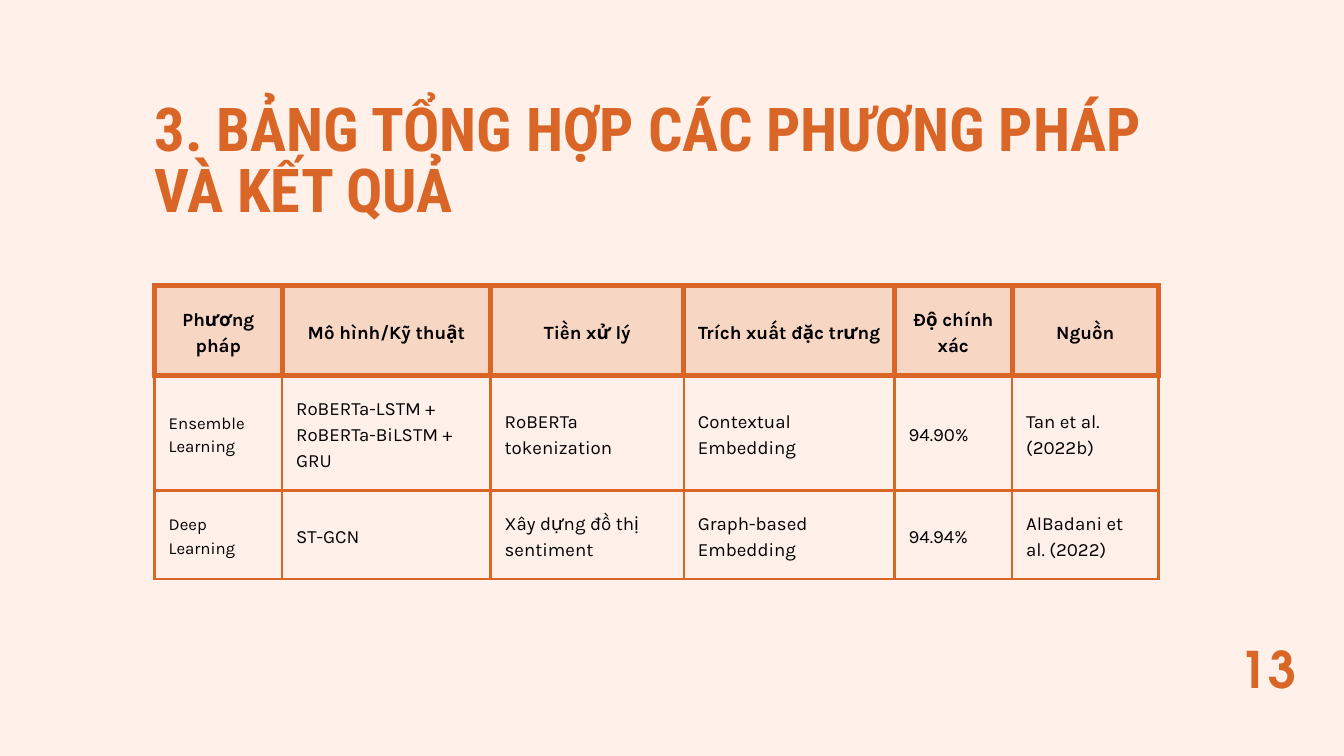
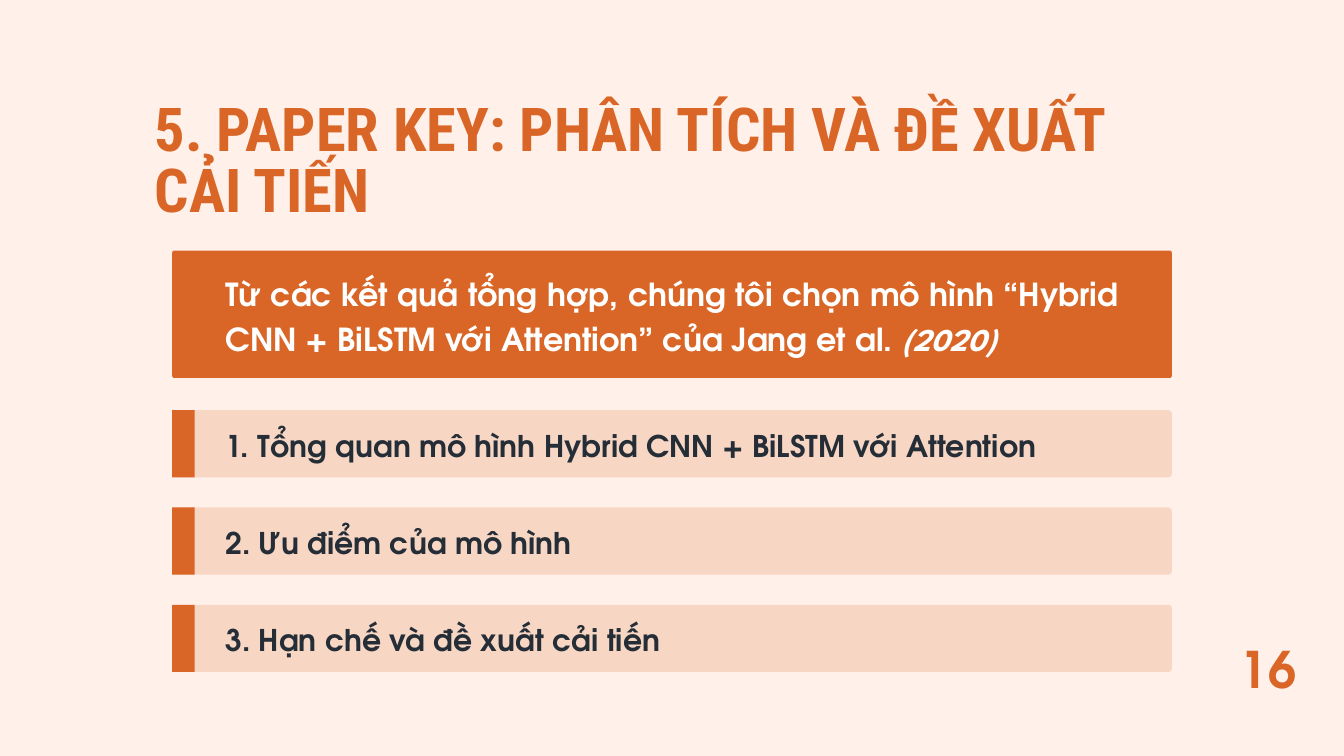
from collections import namedtuple
from dataclasses import dataclass

from lxml.etree import SubElement
from pptx import Presentation
from pptx.dml.color import RGBColor
from pptx.enum.shapes import MSO_SHAPE
from pptx.enum.text import MSO_ANCHOR, MSO_AUTO_SIZE, PP_ALIGN
from pptx.oxml import parse_xml
from pptx.oxml.ns import nsdecls, qn
from pptx.util import Pt

PX = 9525
Box = namedtuple("Box", "left top width height")


@dataclass(frozen=True)
class Theme:
    """Colours, fonts, type sizes and line weights of the deck."""

    page: str = "FFF0E9"
    accent: str = "D96627"
    header: str = "F8D6C4"
    ink: str = "252D37"
    black: str = "000000"
    white: str = "FFFFFF"
    title_font: str = "Roboto Condensed"
    text_font: str = "TeX Gyre Adventor"
    year_font: str = "League Spartan"
    table_font: str = "Karla"
    title_size: float = 64.8
    number_size: float = 54
    lead_size: float = 34
    item_size: float = 32
    cell_size: float = 20
    method_size: float = 18
    heavy_rule: float = 6
    light_rule: float = 3
    tint_percent: int = 19


THEME = Theme()
SLIDE = Box(0, 0, 1920, 1080)
TITLE = Box(221, 148, 1440, 178)
NUMBER = Box(1756, 940, 111, 64)
SUMMARY = Box(221, 408, 1434, 419)
LEAD = Box(246, 358, 1428, 182)
OUTLINE = Box(246, 586, 1428, 374)
TEXT_INDENT = 76
TEXT_WIDTH = 1277

COLUMN_WIDTHS = (182, 298, 276, 301, 168, 209)
ROW_HEIGHTS = (129, 164, 126)
METHODS = (
    ("Phương pháp", "Mô hình/Kỹ thuật", "Tiền xử lý",
     "Trích xuất đặc trưng", "Độ chính xác", "Nguồn"),
    ("Ensemble Learning", "RoBERTa-LSTM + RoBERTa-BiLSTM + GRU",
     "RoBERTa tokenization", "Contextual Embedding", "94.90%", "Tan et al. (2022b)"),
    ("Deep Learning", "ST-GCN", "Xây dựng đồ thị sentiment",
     "Graph-based Embedding", "94.94%", "AlBadani et al. (2022)"),
)
LEAD_TEXT = ("Từ các kết quả tổng hợp, chúng tôi chọn mô hình “Hybrid CNN + BiLSTM "
             "với Attention” của Jang et al. ")
TOPICS = (
    "1. Tổng quan mô hình Hybrid CNN + BiLSTM với Attention",
    "2. Ưu điểm của mô hình",
    "3. Hạn chế và đề xuất cải tiến",
)


def emu(box):
    """Turn a px box into EMU lengths."""
    return [length * PX for length in box]


def write(paragraph, text, *, font, size, color, leading,
          bold=True, italic=False, align=PP_ALIGN.LEFT):
    """Add a formatted run to a paragraph."""
    paragraph.alignment = align
    paragraph.line_spacing = Pt(leading)
    run = paragraph.add_run()
    run.text = text
    run.font.name = font
    run.font.size = Pt(size)
    run.font.bold = bold
    run.font.italic = italic
    run.font.color.rgb = RGBColor.from_string(color)


def add_text(slide, box, text, **style):
    """Place an unpadded text box and return its paragraph."""
    frame = slide.shapes.add_textbox(*emu(box)).text_frame
    frame.word_wrap = True
    frame.auto_size = MSO_AUTO_SIZE.SHAPE_TO_FIT_TEXT
    frame.margin_left = frame.margin_top = frame.margin_right = frame.margin_bottom = 0
    write(frame.paragraphs[0], text, **style)
    return frame.paragraphs[0]


def add_bar(slide, box, radius=0, opacity=100):
    """Draw an accent bar with optional round corners and transparency."""
    preset = MSO_SHAPE.ROUNDED_RECTANGLE if radius else MSO_SHAPE.RECTANGLE
    bar = slide.shapes.add_shape(preset, *emu(box))
    if radius:
        bar.adjustments[0] = radius / box.height
    bar.shadow.inherit = False
    bar.line.fill.background()
    bar.fill.solid()
    bar.fill.fore_color.rgb = RGBColor.from_string(THEME.accent)
    if opacity < 100:
        color = bar.fill._xPr.find(qn("a:solidFill"))[0]
        SubElement(color, qn("a:alpha"), val=str(opacity * 1000))


def add_page(deck, title, number):
    """Add a slide with its background, page number and title."""
    slide = deck.slides.add_slide(deck.slide_layouts[6])
    slide.background.fill.solid()
    slide.background.fill.fore_color.rgb = RGBColor.from_string(THEME.page)
    add_text(slide, NUMBER, str(number), font=THEME.text_font, size=THEME.number_size,
             color=THEME.accent, leading=43.2, align=PP_ALIGN.CENTER)
    add_text(slide, TITLE, title, font=THEME.title_font, size=THEME.title_size,
             color=THEME.accent, leading=64.8)
    return slide


def set_borders(cell, **weights):
    """Rule the L, R, T and B sides of a cell with weights in points."""
    properties = cell._tc.get_or_add_tcPr()
    for position, side in enumerate("LRTB"):
        properties.insert(position, parse_xml(
            f'<a:ln{side} {nsdecls("a")} w="{Pt(weights[side])}" cap="flat" cmpd="sng">'
            f'<a:solidFill><a:srgbClr val="{THEME.accent}"/></a:solidFill>'
            f'<a:prstDash val="solid"/></a:ln{side}>'))


def fill_cell(cell, text, row, column):
    """Format one cell according to its row and column."""
    heading = row == 0
    cell.vertical_anchor = MSO_ANCHOR.MIDDLE
    cell.margin_left = cell.margin_top = cell.margin_right = cell.margin_bottom = 20 * PX
    if heading:
        cell.fill.solid()
        cell.fill.fore_color.rgb = RGBColor.from_string(THEME.header)
    else:
        cell.fill.background()
    rule = THEME.heavy_rule if heading else THEME.light_rule
    top = THEME.heavy_rule if row < 2 else THEME.light_rule
    set_borders(cell, L=rule, R=rule, T=top, B=rule)
    size = THEME.method_size if column == 0 and not heading else THEME.cell_size
    write(cell.text_frame.paragraphs[0], text, font=THEME.table_font, size=size,
          color=THEME.black, leading=size * 1.4, bold=heading,
          align=PP_ALIGN.CENTER if heading else PP_ALIGN.LEFT)


def add_summary(slide, box):
    """Build the table of methods and results."""
    table = slide.shapes.add_table(len(METHODS), len(COLUMN_WIDTHS), *emu(box)).table
    table.first_row = table.horz_banding = False
    for column, width in zip(table.columns, COLUMN_WIDTHS):
        column.width = width * PX
    for row, height in zip(table.rows, ROW_HEIGHTS):
        row.height = height * PX
    for row, texts in enumerate(METHODS):
        for column, text in enumerate(texts):
            fill_cell(table.cell(row, column), text, row, column)


def add_lead(slide, box):
    """Build the solid panel naming the chosen model."""
    add_bar(slide, box, radius=3)
    style = dict(size=THEME.lead_size, color=THEME.white, leading=47.6,
                 align=PP_ALIGN.JUSTIFY)
    text_box = Box(box.left + TEXT_INDENT, box.top + 26, TEXT_WIDTH, 124)
    sentence = add_text(slide, text_box, LEAD_TEXT, font=THEME.text_font, **style)
    write(sentence, "(2020)", font=THEME.year_font, italic=True, **style)


def add_topic(slide, box, topic):
    """Build one tinted topic row with its accent stripe."""
    add_bar(slide, box, radius=5, opacity=THEME.tint_percent)
    add_bar(slide, box._replace(width=32))
    text_box = Box(box.left + TEXT_INDENT, box.top + 16, TEXT_WIDTH, 57)
    add_text(slide, text_box, topic, font=THEME.text_font, size=THEME.item_size,
             color=THEME.ink, leading=44.8, align=PP_ALIGN.JUSTIFY)


def add_outline(slide, box):
    """Spread the topic rows evenly down the box."""
    height = 96
    pitch = (box.height - height) // (len(TOPICS) - 1)
    for index, topic in enumerate(TOPICS):
        add_topic(slide, Box(box.left, box.top + index * pitch, box.width, height), topic)


def main():
    """Build and save the deck."""
    deck = Presentation()
    deck.slide_width, deck.slide_height = emu(SLIDE)[2:]
    results = add_page(deck, "3. BẢNG TỔNG HỢP CÁC PHƯƠNG PHÁP VÀ KẾT QUẢ", 13)
    add_summary(results, SUMMARY)
    key_paper = add_page(deck, "5. PAPER KEY: PHÂN TÍCH VÀ ĐỀ XUẤT CẢI TIẾN", 16)
    add_lead(key_paper, LEAD)
    add_outline(key_paper, OUTLINE)
    deck.save("out.pptx")


if __name__ == "__main__":
    main()
